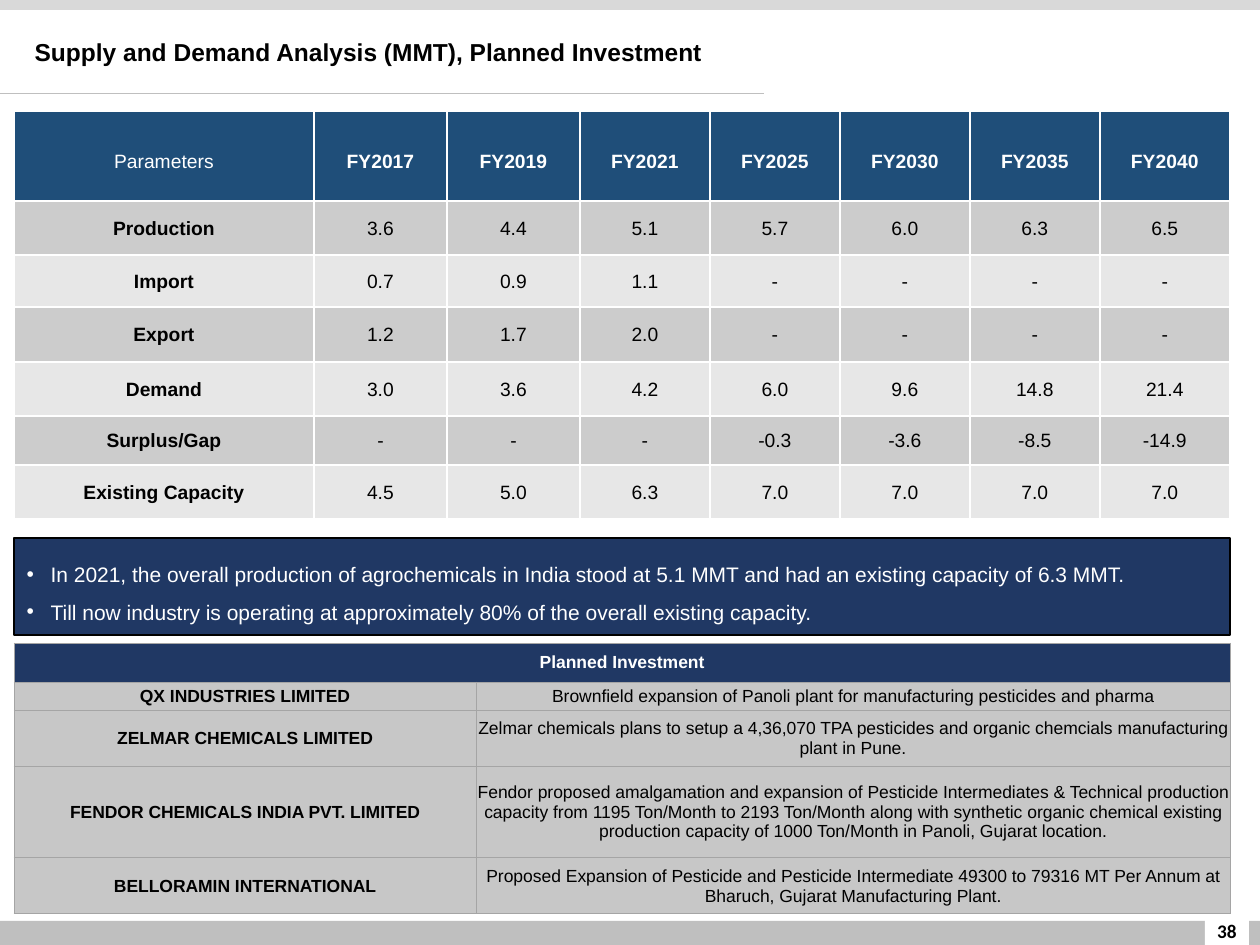
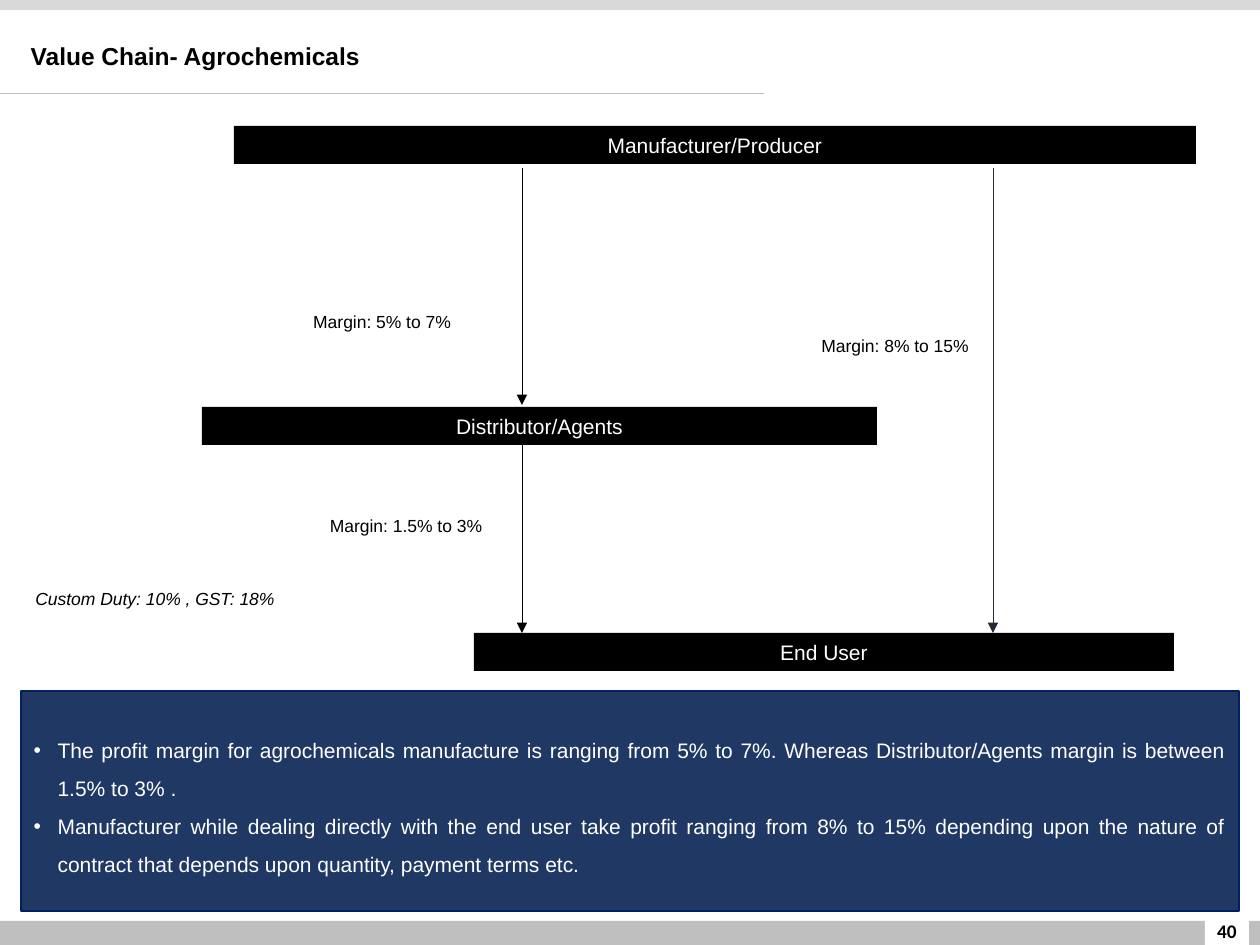
from lxml import etree
from pptx import Presentation
from pptx.dml.color import RGBColor
from pptx.enum.shapes import MSO_CONNECTOR, MSO_SHAPE
from pptx.enum.text import MSO_ANCHOR, MSO_AUTO_SIZE, PP_ALIGN
from pptx.oxml.ns import qn
from pptx.util import Pt

RECTANGLE = MSO_SHAPE.RECTANGLE
STRAIGHT = MSO_CONNECTOR.STRAIGHT
MIDDLE = MSO_ANCHOR.MIDDLE
NO_AUTOFIT = MSO_AUTO_SIZE.NONE
LEFT, CENTER, JUSTIFY = PP_ALIGN.LEFT, PP_ALIGN.CENTER, PP_ALIGN.JUSTIFY

BLACK = RGBColor(0x00, 0x00, 0x00)
WHITE = RGBColor(0xFF, 0xFF, 0xFF)
TOP_BAND = RGBColor(0xD9, 0xD9, 0xD9)
FOOTER_BAND = RGBColor(0xBF, 0xBF, 0xBF)
NAVY = RGBColor(0x20, 0x38, 0x64)
NAVY_EDGE = RGBColor(0x00, 0x20, 0x60)
HEADER_BLUE = RGBColor(0x1F, 0x4E, 0x79)
DARK_ROW = RGBColor(0xCC, 0xCC, 0xCC)
LIGHT_ROW = RGBColor(0xE7, 0xE7, 0xE7)
INVESTMENT_ROW = RGBColor(0xC7, 0xC7, 0xC7)
INVESTMENT_EDGE = RGBColor(0xA5, 0xA5, 0xA5)
SLATE = RGBColor(0x22, 0x2A, 0x35)

EMU_PER_PX = 914400 / 126


def px(*lengths):
    return [round(length * EMU_PER_PX) for length in lengths]


def write(frame, lines, size, color, align=CENTER, bold=False, italic=False,
          spacing=1.0, font="Arial"):
    frame.word_wrap = True
    for index, line in enumerate(lines):
        paragraph = frame.paragraphs[0] if index == 0 else frame.add_paragraph()
        paragraph.alignment = align
        paragraph.line_spacing = spacing
        paragraph.space_before = Pt(0)
        run = paragraph.add_run()
        run.text = line
        run.font.name = font
        run.font.size = Pt(size)
        run.font.bold = bold
        run.font.italic = italic
        run.font.color.rgb = color


presentation = Presentation()
presentation.slide_width, presentation.slide_height = px(1260, 945)
layout = presentation.slide_layouts[1]
supply_slide = presentation.slides.add_slide(layout)
chain_slide = presentation.slides.add_slide(layout)

pages = [
    (supply_slide, "38", "Supply and Demand Analysis (MMT), Planned Investment",
     (22, 22, 1009, 63), (14, 538, 1216, 97), BLACK,
     ["In 2021, the overall production of agrochemicals in India stood at 5.1 MMT "
      "and had an existing capacity of 6.3 MMT.",
      "Till now industry is operating at approximately 80% of the overall existing capacity."]),
    (chain_slide, "40", "Value Chain- Agrochemicals",
     (18, 26, 1022, 63), (21, 691, 1218, 220), NAVY_EDGE,
     ["The profit margin for agrochemicals manufacture is ranging from 5% to 7%. "
      "Whereas Distributor/Agents margin is between 1.5% to 3% .",
      "Manufacturer while dealing directly with the end user take profit ranging from "
      "8% to 15% depending upon the nature of contract that depends upon quantity, "
      "payment terms etc."]),
]
bars = []
for slide, number, title_text, title_bounds, body_bounds, edge, points in pages:
    title = slide.shapes.title
    title.left, title.top, title.width, title.height = px(*title_bounds)
    title.text_frame.auto_size = NO_AUTOFIT
    title.text_frame.vertical_anchor = MIDDLE
    write(title.text_frame, [title_text], 14, BLACK, LEFT, bold=True, spacing=0.9)

    body = slide.placeholders[1]
    body.left, body.top, body.width, body.height = px(*body_bounds)
    body.fill.solid()
    body.fill.fore_color.rgb = NAVY
    body.line.color.rgb = edge
    body.line.width = Pt(1)
    body.text_frame.auto_size = NO_AUTOFIT
    body.text_frame.vertical_anchor = MIDDLE
    write(body.text_frame, points, 12, WHITE, JUSTIFY, spacing=1.5)
    indent = px(24)[0]
    for paragraph in body.text_frame.paragraphs:
        properties = paragraph._p.get_or_add_pPr()
        properties.set("marL", str(indent))
        properties.set("indent", str(-indent))

    bars += [
        (slide, (0, 921, 1260, 24), FOOTER_BAND, "", 11, BLACK, "Arial"),
        (slide, (0, 0, 1260, 10), TOP_BAND, "", 11, BLACK, "Arial"),
        (slide, (1205, 917, 44, 28), WHITE, number, 11, BLACK, "Calibri"),
    ]

for bounds, name in [
    ((202, 407, 675, 38), "Distributor/Agents"),
    ((474, 633, 700, 38), "End User"),
    ((234, 126, 962, 38), "Manufacturer/Producer"),
]:
    bars.append((chain_slide, bounds, BLACK, name, 12, WHITE, "Arial"))

for slide, bounds, fill, text, size, color, font in bars:
    bar = slide.shapes.add_shape(RECTANGLE, *px(*bounds))
    bar.shadow.inherit = False
    bar.fill.solid()
    bar.fill.fore_color.rgb = fill
    bar.line.fill.background()
    if text:
        frame = bar.text_frame
        frame.margin_left = frame.margin_right = 0
        frame.margin_top = frame.margin_bottom = 0
        frame.vertical_anchor = MIDDLE
        write(frame, [text], size, color, bold=font == "Calibri", font=font)

supply_rows = [
    ["Parameters", "FY2017", "FY2019", "FY2021", "FY2025", "FY2030", "FY2035", "FY2040"],
    ["Production", "3.6", "4.4", "5.1", "5.7", "6.0", "6.3", "6.5"],
    ["Import", "0.7", "0.9", "1.1", "-", "-", "-", "-"],
    ["Export", "1.2", "1.7", "2.0", "-", "-", "-", "-"],
    ["Demand", "3.0", "3.6", "4.2", "6.0", "9.6", "14.8", "21.4"],
    ["Surplus/Gap", "-", "-", "-", "-0.3", "-3.6", "-8.5", "-14.9"],
    ["Existing Capacity", "4.5", "5.0", "6.3", "7.0", "7.0", "7.0", "7.0"],
]
investment_rows = [
    ["Planned Investment", ""],
    ["QX INDUSTRIES LIMITED",
     "Brownfield expansion of Panoli plant for manufacturing pesticides and pharma"],
    ["ZELMAR CHEMICALS LIMITED",
     "Zelmar chemicals plans to setup a 4,36,070 TPA pesticides and organic chemcials "
     "manufacturing plant in Pune."],
    ["FENDOR CHEMICALS INDIA PVT. LIMITED",
     "Fendor proposed amalgamation and expansion of Pesticide Intermediates & Technical "
     "production capacity from 1195 Ton/Month to 2193 Ton/Month along with synthetic "
     "organic chemical existing production capacity of 1000 Ton/Month in Panoli, "
     "Gujarat location."],
    ["BELLORAMIN INTERNATIONAL",
     "Proposed Expansion of Pesticide and Pesticide Intermediate 49300 to 79316 MT Per "
     "Annum at Bharuch, Gujarat Manufacturing Plant."],
]
tables = [
    (supply_rows, (14, 111), [300, 133, 133] + [130] * 5, [90, 54, 52, 55, 54, 49, 54],
     11, 1.5, HEADER_BLUE, [DARK_ROW, LIGHT_ROW], WHITE, 1),
    (investment_rows, (14, 643), [462, 754], [39, 28, 56, 92, 56],
     10, 1.0, NAVY, [INVESTMENT_ROW, INVESTMENT_ROW], INVESTMENT_EDGE, 0.5),
]
for (rows, corner, widths, heights, size, header_spacing, header_fill,
     row_fills, edge, edge_width) in tables:
    bounds = px(*corner, sum(widths), sum(heights))
    table = supply_slide.shapes.add_table(len(rows), len(widths), *bounds).table
    for column, width in zip(table.columns, px(*widths)):
        column.width = width
    for row, height in zip(table.rows, px(*heights)):
        row.height = height
    for row_index, texts in enumerate(rows):
        header = row_index == 0
        for column_index, text in enumerate(texts):
            cell = table.cell(row_index, column_index)
            cell.margin_left = cell.margin_right = cell.margin_top = px(1)[0]
            cell.margin_bottom = 0
            cell.vertical_anchor = MIDDLE
            cell.fill.solid()
            cell.fill.fore_color.rgb = header_fill if header else row_fills[(row_index - 1) % 2]
            if text:
                bold = text != "Parameters" and (header or column_index == 0)
                write(cell.text_frame, [text], size, WHITE if header else BLACK, bold=bold,
                      spacing=header_spacing if header else 1.0)
            properties = cell._tc.get_or_add_tcPr()
            for position, side in enumerate(["a:lnL", "a:lnR", "a:lnT", "a:lnB"]):
                border = etree.Element(qn(side), w=str(Pt(edge_width)))
                solid = etree.SubElement(border, qn("a:solidFill"))
                etree.SubElement(solid, qn("a:srgbClr"), val=str(edge))
                properties.insert(position, border)
    if rows is investment_rows:
        table.cell(0, 0).merge(table.cell(0, 1))

for bounds, text, align in [
    ((23, 582, 324, 34), "Custom Duty: 10% , GST: 18%", LEFT),
    ((762, 329, 266, 34), "Margin: 8% to 15%", CENTER),
    ((249, 305, 266, 34), "Margin: 5% to 7%", CENTER),
    ((273, 509, 266, 34), "Margin: 1.5% to 3%", CENTER),
]:
    label = chain_slide.shapes.add_textbox(*px(*bounds))
    write(label.text_frame, [text], 10, BLACK, align, italic=align == LEFT)

for slide, ends, color, arrow in [
    (supply_slide, (0, 93, 764, 93), FOOTER_BAND, False),
    (chain_slide, (0, 93, 764, 93), FOOTER_BAND, False),
    (chain_slide, (993, 168, 993, 633), SLATE, True),
    (chain_slide, (522, 445, 522, 633), BLACK, True),
    (chain_slide, (522, 168, 522, 405), BLACK, True),
]:
    connector = slide.shapes.add_connector(STRAIGHT, *px(*ends))
    connector.line.color.rgb = color
    connector.line.width = Pt(0.5)
    if arrow:
        etree.SubElement(connector.line._get_or_add_ln(), qn("a:tailEnd"), type="triangle")
    etree.SubElement(connector._element.spPr, qn("a:effectLst"))

presentation.save("out.pptx")
